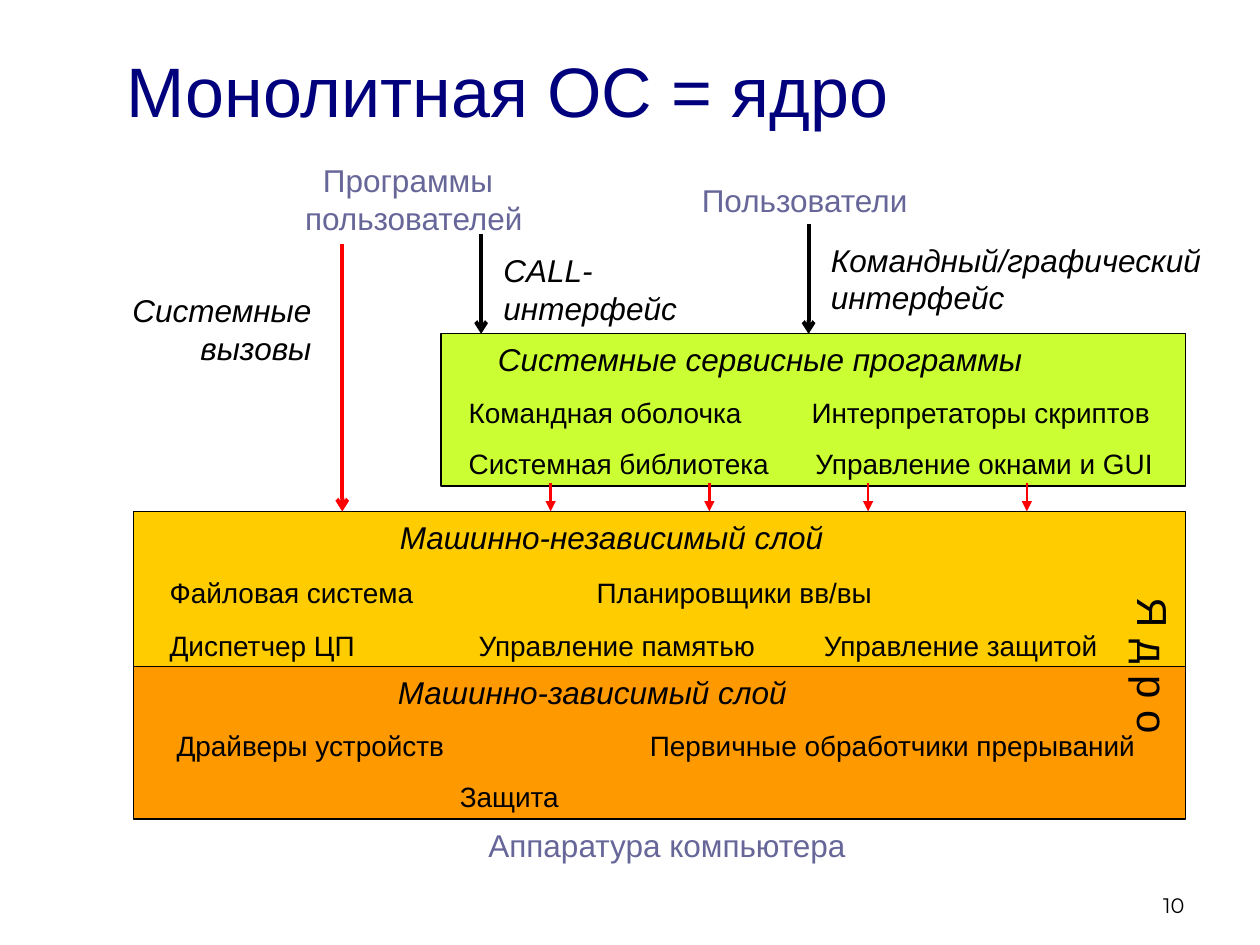
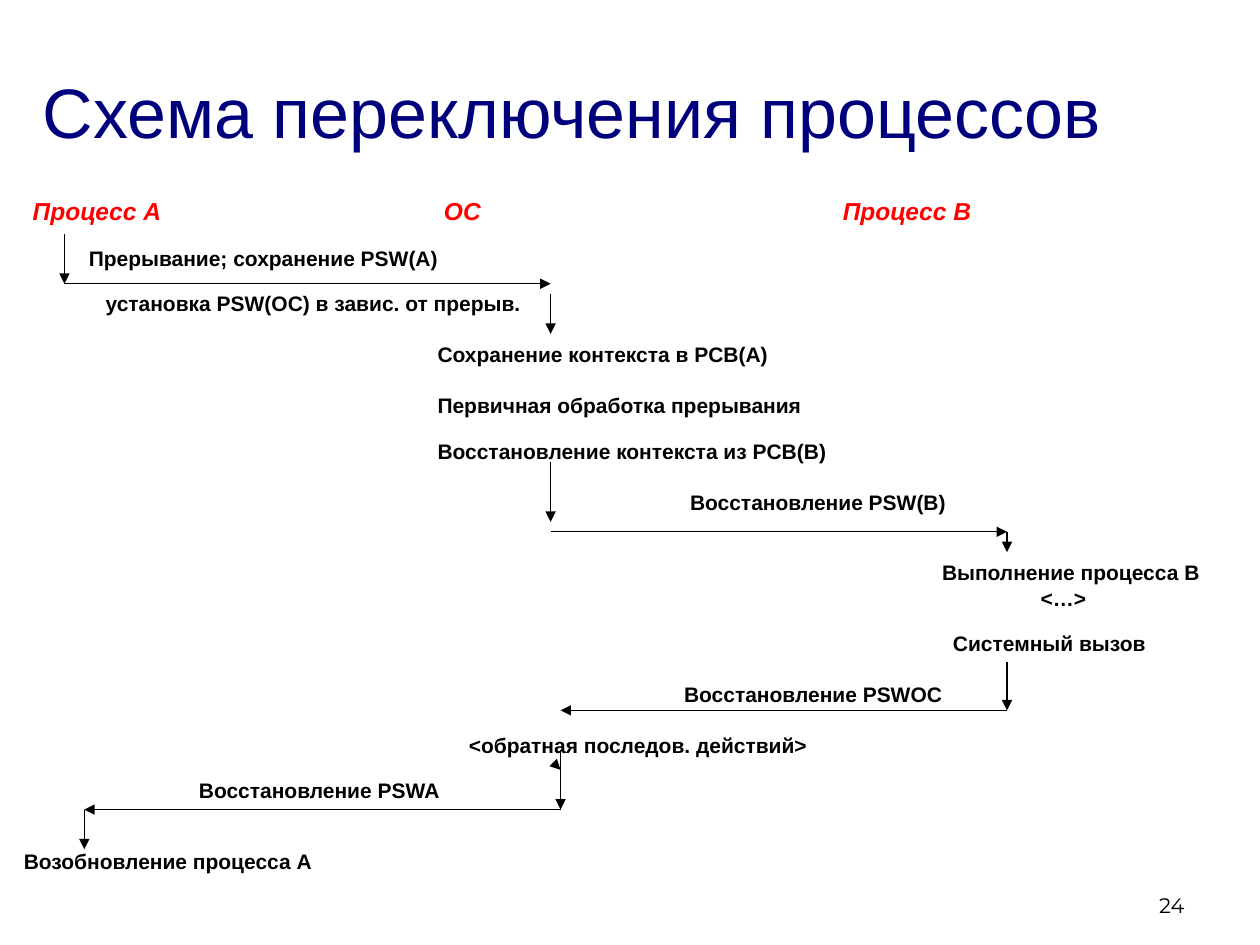
from dataclasses import dataclass

from lxml import etree
from pptx import Presentation
from pptx import util as u
from pptx.dml.color import RGBColor
from pptx.enum import shapes, text
from pptx.oxml.ns import qn

Cm, Pt = u.Cm, u.Pt
LEFT, RIGHT = text.PP_ALIGN.LEFT, text.PP_ALIGN.RIGHT
TOP, MID, LOW = (text.MSO_ANCHOR.TOP, text.MSO_ANCHOR.MIDDLE,
                 text.MSO_ANCHOR.BOTTOM)


@dataclass(frozen=True)
class Theme:
    font: str = "Arial"
    digit: str = "Montserrat"
    navy: str = "00007D"
    ink: str = "000000"
    slate: str = "666699"
    red: str = "FF0000"
    lime: str = "CCFF33"
    gold: str = "FFCC00"
    amber: str = "FF9900"
    title: int = 40
    kernel: int = 24
    head: int = 18
    item: int = 16
    lane: int = 14
    step: int = 12
    thin: float = 0.75
    mid: float = 1.5
    bold: float = 2.25


T = Theme()


def apply(obj, fmt):
    for name, value in fmt.items():
        setattr(obj, name, value)


def frame(shape, anchor=TOP, side=0.25, edge=0.13, wrap=True):
    tf = shape.text_frame
    apply(tf, dict(auto_size=text.MSO_AUTO_SIZE.NONE, word_wrap=wrap,
                   vertical_anchor=anchor,
                   margin_left=Cm(side), margin_right=Cm(side),
                   margin_top=Cm(edge), margin_bottom=Cm(edge)))
    return tf


def write(par, words, size, color=T.ink, face=T.font, align=LEFT,
          left=0, first=0, tabs=(), gap=0, line=1.0, **style):
    """Fill a paragraph; left, first and tabs are in cm, gap in points.

    Indents are left out beside tabs, as they would reset the tab stops.
    """
    props = par._p.get_or_add_pPr()
    etree.SubElement(props, qn("a:buNone"))
    if tabs:
        stops = etree.SubElement(props, qn("a:tabLst"))
        for pos in tabs:
            etree.SubElement(stops, qn("a:tab"), pos=str(Cm(pos)), algn="l")
    else:
        props.set("marL", str(Cm(left)))
        props.set("indent", str(Cm(first)))
    apply(par, dict(alignment=align, space_before=Pt(gap),
                    space_after=Pt(0), line_spacing=line))
    run = par.add_run()
    run.text = words
    apply(run.font, dict(name=face, size=Pt(size), **style))
    run.font.color.rgb = RGBColor.from_string(color)


def row(par, cells, size, **fmt):
    """Write (x, words) cells, each at its own tab stop."""
    write(par, "".join("\t" + words for _, words in cells), size,
          tabs=[x for x, _ in cells], **fmt)


def place(shape, box):
    apply(shape, dict(zip(("left", "top", "width", "height"), map(Cm, box))))


def label(slide, box, words, size=T.head, anchor=TOP, **fmt):
    shape = slide.shapes.add_textbox(*map(Cm, box))
    write(frame(shape, anchor).paragraphs[0], words, size, **fmt)


def layer(slide, box, fill, head, rows, gap):
    shape = slide.shapes.add_shape(shapes.MSO_SHAPE.RECTANGLE, *map(Cm, box))
    shape.shadow.inherit = False
    shape.fill.solid()
    shape.fill.fore_color.rgb = RGBColor.from_string(fill)
    shape.line.color.rgb = RGBColor.from_string(T.ink)
    shape.line.width = Pt(T.thin)
    tf = frame(shape)
    row(tf.paragraphs[0], [head], T.head, italic=True)
    for cells in rows:
        row(tf.add_paragraph(), cells, T.item, gap=gap)


def arrow(slide, x1, y1, x2, y2, color=T.ink, width=T.thin, tip="triangle"):
    con = slide.shapes.add_connector(shapes.MSO_CONNECTOR.STRAIGHT,
                                     *map(Cm, (x1, y1, x2, y2)))
    con.line.color.rgb = RGBColor.from_string(color)
    con.line.width = Pt(width)
    props = con._element.spPr
    etree.SubElement(props.find(qn("a:ln")), qn("a:tailEnd"), type=tip)
    etree.SubElement(props, qn("a:effectLst"))


def page(deck, layout, title, box, number):
    slide = deck.slides.add_slide(deck.slide_layouts[layout])
    head = slide.shapes.title
    place(head, box)
    write(frame(head, MID).paragraphs[0], title, T.title, T.navy)
    label(slide, (18.21, 17.37, 5.92, 1.27), number, T.step, LOW,
          face=T.digit, align=RIGHT)
    return slide


def kernel(slide, box):
    """Vertical caption that spans both kernel layers."""
    shape = slide.shapes.add_textbox(*map(Cm, box))
    tf = frame(shape, side=0.13, edge=0.25, wrap=False)
    tf._txBody.bodyPr.set("vert", "eaVert")
    write(tf.paragraphs[0], "Я д р о", T.kernel)


def mono(deck):
    slide = page(deck, 5, "Монолитная ОС = ядро",
                 (2.31, 0.87, 22, 1.85), "10")
    layer(slide, (8.89, 6.73, 15.01, 3.07), T.lime,
          (0.9, "Системные сервисные программы"),
          [[(0.31, "Командная оболочка"), (7.22, "Интерпретаторы скриптов")],
           [(0.31, "Системная библиотека"),
            (7.3, "Управление окнами и GUI")]], 10)
    layer(slide, (2.69, 10.31, 21.21, 3.18), T.gold,
          (5.12, "Машинно-независимый слой"),
          [[(0.48, "Файловая система"), (9.09, "Планировщики вв/вы")],
           [(0.48, "Диспетчер ЦП"), (6.71, "Управление памятью"),
            (13.67, "Управление защитой")]], 11.3)
    layer(slide, (2.69, 13.44, 21.21, 3.07), T.amber,
          (5.08, "Машинно-зависимый слой"),
          [[(0.62, "Драйверы устройств"),
            (10.16, "Первичные обработчики прерываний")],
           [(6.33, "Защита")]], 10)
    kernel(slide, (22.38, 11.8, 1.52, 3.02))

    for box, words, fmt in (
            ((5.9, 3.12, 5, 1.78), "Программы пользователей",
             dict(first=0.36)),
            ((13.9, 3.51, 5, 1.02), "Пользователи", {}),
            ((8.89, 16.52, 8.41, 1.02), "Аппаратура компьютера",
             dict(align=RIGHT))):
        label(slide, box, words, color=T.slate, **fmt)
    for box, words, align in (
            ((2.31, 5.74, 4.22, 1.78), "Системные вызовы", RIGHT),
            ((9.9, 4.93, 4.19, 1.78), "СALL-интерфейс", LEFT),
            ((16.5, 4.72, 8.2, 1.78), "Командный/графический интерфейс",
             LEFT)):
        label(slide, box, words, align=align, italic=True)

    for x, top, end, color in ((6.9, 4.92, 10.31, T.red),
                               (9.7, 4.72, 6.73, T.ink),
                               (16.3, 4.52, 6.73, T.ink)):
        arrow(slide, x, top, x, end, color, T.bold, "arrow")
    for i in range(4):
        x = 11.1 + 3.2 * i
        arrow(slide, x, 9.73, x, 10.31, T.red, T.mid)


def switch(deck):
    slide = page(deck, 1, "Схема переключения процессов",
                 (0.61, 0.33, 24.31, 3.81), "24")
    body = slide.placeholders[1]
    top = 3.94
    place(body, (0, top, 24.89, 14.61))
    tf = frame(body)
    lane = dict(size=T.lane, color=T.red, line=0.8, bold=True, italic=True)
    write(tf.paragraphs[0], "Процесс А", left=0.41, **lane)
    for x, words in ((8.7, "ОС"), (16.74, "Процесс В")):
        label(slide, (x, top, 4, 0.9), words, **lane)

    near, step, wide, far = 3, 14.3, 17.7, 29
    for gap, x, words in (
            (step, 1.54, "Прерывание; сохранение PSW(А)"),
            (step, 1.88, "установка PSW(ОС) в завис. от прерыв."),
            (wide, 8.57, "Сохранение контекста в PCB(А)"),
            (wide, 8.57, "Первичная обработка прерывания"),
            (step, 8.57, "Восстановление контекста из PCB(B)"),
            (wide, 13.66, "Восстановление PSW(B)"),
            (far, 18.74, "Выполнение процесса B"),
            (near, 20.73, "<…>"),
            (step, 18.96, "Системный вызов"),
            (wide, 13.54, "Восстановление PSWОС"),
            (wide, 9.2, "<обратная последов. действий>"),
            (step, 3.76, "Восстановление PSWA"),
            (far, 0.23, "Возобновление процесса А")):
        write(tf.add_paragraph(), words, T.step, left=x, gap=gap,
              line=0.8, bold=True)

    start, main_x, back, proc, end = 1.3, 11.1, 11.3, 20.3, 1.7
    for ends in ((start, 4.72, start, 5.72),
                 (start, 5.72, main_x, 5.72),
                 (main_x, 5.92, main_x, 6.73),
                 (main_x, 9.32, main_x, 10.52),
                 (main_x, 10.72, proc, 10.72),
                 (proc, 10.72, proc, 11.13),
                 (proc, 14.32, back, 14.32),
                 (proc, 13.34, proc, 14.32),
                 (back, 15.11, back, 16.32),
                 (back - 0.01, 15.51, back, 15.52),
                 (back, 16.32, end, 16.32),
                 (end, 16.32, end, 17.12)):
        arrow(slide, *ends)


def main():
    deck = Presentation()
    apply(deck, dict(slide_width=Cm(25.4), slide_height=Cm(19.05)))
    mono(deck)
    switch(deck)
    deck.save("out.pptx")


if __name__ == "__main__":
    main()
